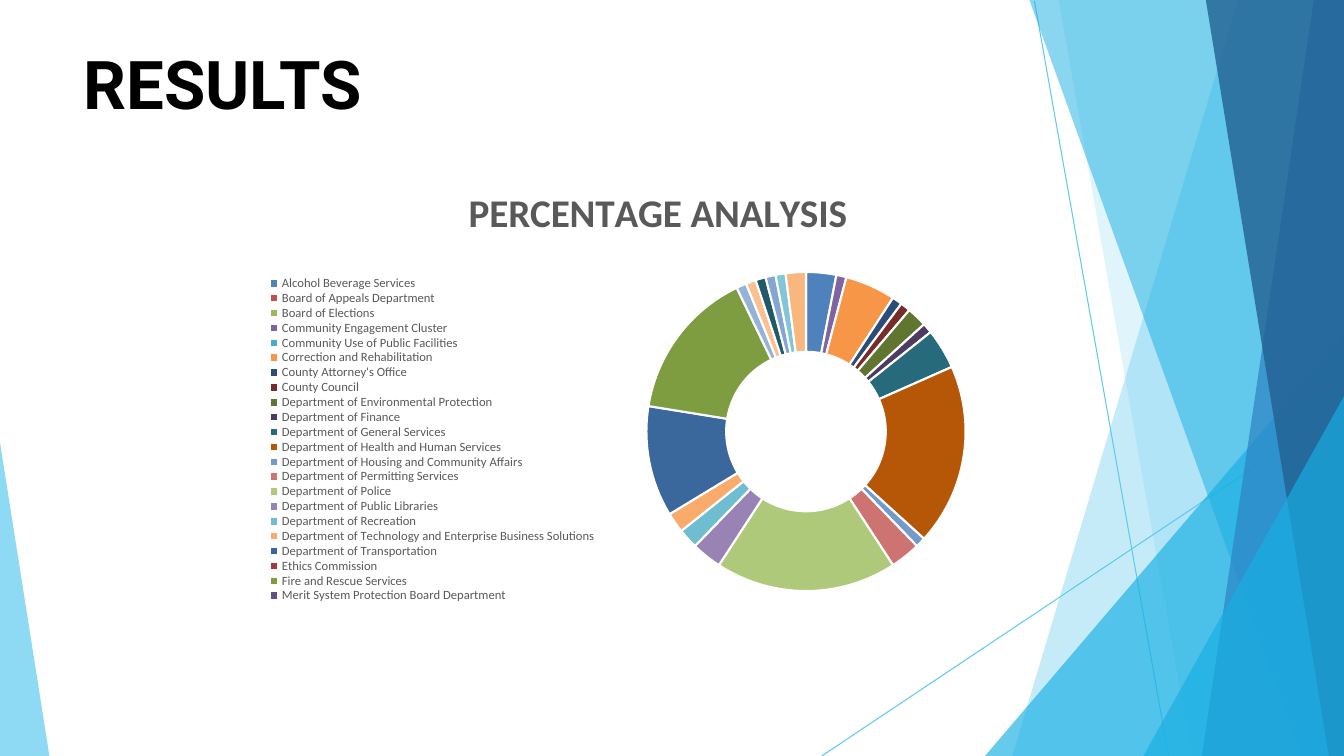
from lxml.etree import SubElement
from pptx import Presentation
from pptx.chart.data import CategoryChartData
from pptx.dml.color import RGBColor
from pptx.enum.chart import XL_CHART_TYPE as ChartType, XL_LEGEND_POSITION as LegendPosition
from pptx.enum.shapes import MSO_CONNECTOR as Connector
from pptx.enum.text import MSO_ANCHOR as Anchor
from pptx.oxml import parse_xml
from pptx.oxml.ns import nsdecls, qn
from pptx.util import Inches, Pt

WIDTH, HEIGHT = 13.33, 7.5
SKY, CYAN, BLUE, NAVY = "5FCAEE", "17AFE3", "2D83C3", "226192"

RAYS = [((10.26, 0.01), (11.59, HEIGHT)), ((WIDTH, 4.04), (8.15, HEIGHT))]


def band(top_x, bottom_x):
    return [(WIDTH, 0), (top_x, 0), (bottom_x, HEIGHT), (WIDTH, HEIGHT)]


def corner(bottom_x, top_y):
    return [(WIDTH, top_y), (bottom_x, HEIGHT), (WIDTH, HEIGHT)]


FACETS = [
    (band(12.28, 10.04), SKY, 36),
    (band(10.5, 11.82), SKY, 20),
    (corner(9.77, 3.33), CYAN, 66),
    (band(10.21, 12.91), CYAN, 50),
    (band(13.03, 11.92), BLUE, 70),
    (band(11.96, 13.18), NAVY, 80),
    (corner(11.34, 3.93), CYAN, 66),
    ([(0, 4.39), (0, HEIGHT), (0.49, HEIGHT)], SKY, 70),
]

DEPARTMENTS = [
    ("Alcohol Beverage Services", 3, "4F81BD"),
    ("Board of Appeals Department", 0, "C0504D"),
    ("Board of Elections", 0, "9BBB59"),
    ("Community Engagement Cluster", 1, "8064A2"),
    ("Community Use of Public Facilities", 0, "4BACC6"),
    ("Correction and Rehabilitation", 5, "F79646"),
    ("County Attorney's Office", 1, "2C4D75"),
    ("County Council", 1, "772C2A"),
    ("Department of Environmental Protection", 2, "5F7530"),
    ("Department of Finance", 1, "4D3B62"),
    ("Department of General Services", 4, "276A7C"),
    ("Department of Health and Human Services", 18, "B65708"),
    ("Department of Housing and Community Affairs", 1, "729ACA"),
    ("Department of Permitting Services", 3, "CD7371"),
    ("Department of Police", 18, "AFC97A"),
    ("Department of Public Libraries", 3, "9983B5"),
    ("Department of Recreation", 2, "6FBDD1"),
    ("Department of Technology and Enterprise Business Solutions", 2, "F9AB6B"),
    ("Department of Transportation", 11, "3A679C"),
    ("Ethics Commission", 0, "9F3B38"),
    ("Fire and Rescue Services", 15, "7E9D40"),
    ("Merit System Protection Board Department", 0, "664F83"),
]
UNNAMED_SLICES = [
    (0, "358EA6"), (0, "F3740B"), (1, "95B3D7"), (0, "D99694"), (0, "C3D69B"),
    (0, "B3A2C7"), (0, "93CDDD"), (1, "FAC090"), (0, "254061"), (0, "632523"),
    (0, "4F6228"), (0, "403152"), (1, "215968"), (0, "984807"), (1, "84A7D1"),
    (0, "D38482"), (0, "B9CF8B"), (0, "A692BE"), (1, "81C5D7"), (2, "F9B67D"),
]


def color(value):
    return RGBColor.from_string(value)


def set_values(target, values):
    for name, value in values.items():
        setattr(target, name, value)


def set_layout(element, following, **values):
    for old in element.findall(qn("c:layout")):
        element.remove(old)
    fields = "".join(f'<c:{key} val="{value}"/>' for key, value in values.items())
    layout = parse_xml(
        f'<c:layout {nsdecls("c")}><c:manualLayout>{fields}</c:manualLayout></c:layout>')
    element.find(qn(following)).addprevious(layout)
    return layout


class SlideBuilder:
    title_font = {"name": "Roboto", "size": Pt(48), "bold": True}
    chart_font = {"name": "Calibri", "size": Pt(10)}
    chart_title_font = {"name": "Calibri", "size": Pt(28), "bold": True}
    legend_font = {"name": "Calibri", "size": Pt(9), "bold": False}
    edges = {"xMode": "edge", "yMode": "edge"}

    def __init__(self, slide):
        self.slide = slide

    def style_font(self, font, values, font_color):
        set_values(font, values)
        font.color.rgb = color(font_color)

    def ray(self, start, end):
        points = [Inches(value) for value in (*start, *end)]
        connector = self.slide.shapes.add_connector(Connector.STRAIGHT, *points)
        connector.line.color.rgb = color(SKY)
        connector.line.width = Pt(0.75)
        SubElement(connector.element.spPr, qn("a:effectLst"))

    def facet(self, points, fill, opacity):
        corners = [(Inches(x), Inches(y)) for x, y in points]
        builder = self.slide.shapes.build_freeform(*corners[0])
        builder.add_line_segments(corners[1:], close=True)
        shape = builder.convert_to_shape()
        shape.shadow.inherit = False
        shape.fill.solid()
        shape.fill.fore_color.rgb = color(fill)
        shape.line.fill.background()
        fill_color = shape.element.spPr.find(qn("a:solidFill"))[0]
        SubElement(fill_color, qn("a:alpha"), val=str(opacity * 1000))

    def title(self, text, *box):
        frame = self.slide.shapes.add_textbox(*map(Inches, box)).text_frame
        set_values(frame, {"word_wrap": True, "vertical_anchor": Anchor.TOP,
                           "margin_left": 0, "margin_top": 0,
                           "margin_right": 0, "margin_bottom": 0})
        run = frame.paragraphs[0].add_run()
        run.text = text
        self.style_font(run.font, self.title_font, "000000")

    def doughnut(self, title, named, unnamed, *box):
        rows = named + [("", value, fill) for value, fill in unnamed]
        names, values, colors = zip(*rows)
        data = CategoryChartData()
        data.categories = names
        data.add_series("Series 1", values)
        chart = self.slide.shapes.add_chart(
            ChartType.DOUGHNUT, *map(Inches, box), data).chart
        self.style_font(chart.font, self.chart_font, "000000")
        self.chart_title(chart, title)

        plot = chart.plots[0]
        set_values(plot, {"vary_by_categories": True, "has_data_labels": False})
        for index, fill in enumerate(colors):
            slice_format = plot.series[0].points[index].format
            slice_format.fill.solid()
            slice_format.fill.fore_color.rgb = color(fill)
            slice_format.line.color.rgb = color("FFFFFF")
            slice_format.line.width = Pt(1.5)
        plot_area = chart.element.find(f".//{qn('c:plotArea')}")
        plot_area.find(f".//{qn('c:holeSize')}").set("val", "75")
        set_layout(plot_area, "c:doughnutChart", layoutTarget="inner", **self.edges,
                   x=0.49, y=0.16, w=0.38, h=0.66)
        self.legend(chart, range(len(named), len(rows)))

    def chart_title(self, chart, text):
        chart.has_title = True
        run = chart.chart_title.text_frame.paragraphs[0].add_run()
        run.text = text
        self.style_font(run.font, self.chart_title_font, "595959")
        chart.chart_title.include_in_layout = False
        element = chart.element.find(f".//{qn('c:title')}")
        set_layout(element, "c:overlay", **self.edges, x=0.27, y=0.02)

    def legend(self, chart, unnamed_indexes):
        chart.has_legend = True
        set_values(chart.legend, {"position": LegendPosition.LEFT, "include_in_layout": False})
        self.style_font(chart.legend.font, self.legend_font, "595959")
        element = chart.element.find(f".//{qn('c:legend')}")
        layout = set_layout(element, "c:overlay", **self.edges, x=0.02, y=0.2, w=0.43, h=0.61)
        for index in unnamed_indexes:
            layout.addprevious(parse_xml(
                f'<c:legendEntry {nsdecls("c")}><c:idx val="{index}"/>'
                '<c:delete val="1"/></c:legendEntry>'))


def main():
    presentation = Presentation()
    set_values(presentation, {"slide_width": Inches(WIDTH), "slide_height": Inches(HEIGHT)})
    builder = SlideBuilder(presentation.slides.add_slide(presentation.slide_layouts[6]))
    for start, end in RAYS:
        builder.ray(start, end)
    for points, fill, opacity in FACETS:
        builder.facet(points, fill, opacity)
    builder.title("RESULTS", 0.83, 0.42, 11.68, 1.62)
    builder.doughnut("PERCENTAGE ANALYSIS", DEPARTMENTS, UNNAMED_SLICES,
                     2.33, 1.67, 8.33, 5.33)
    presentation.save("out.pptx")


if __name__ == "__main__":
    main()
